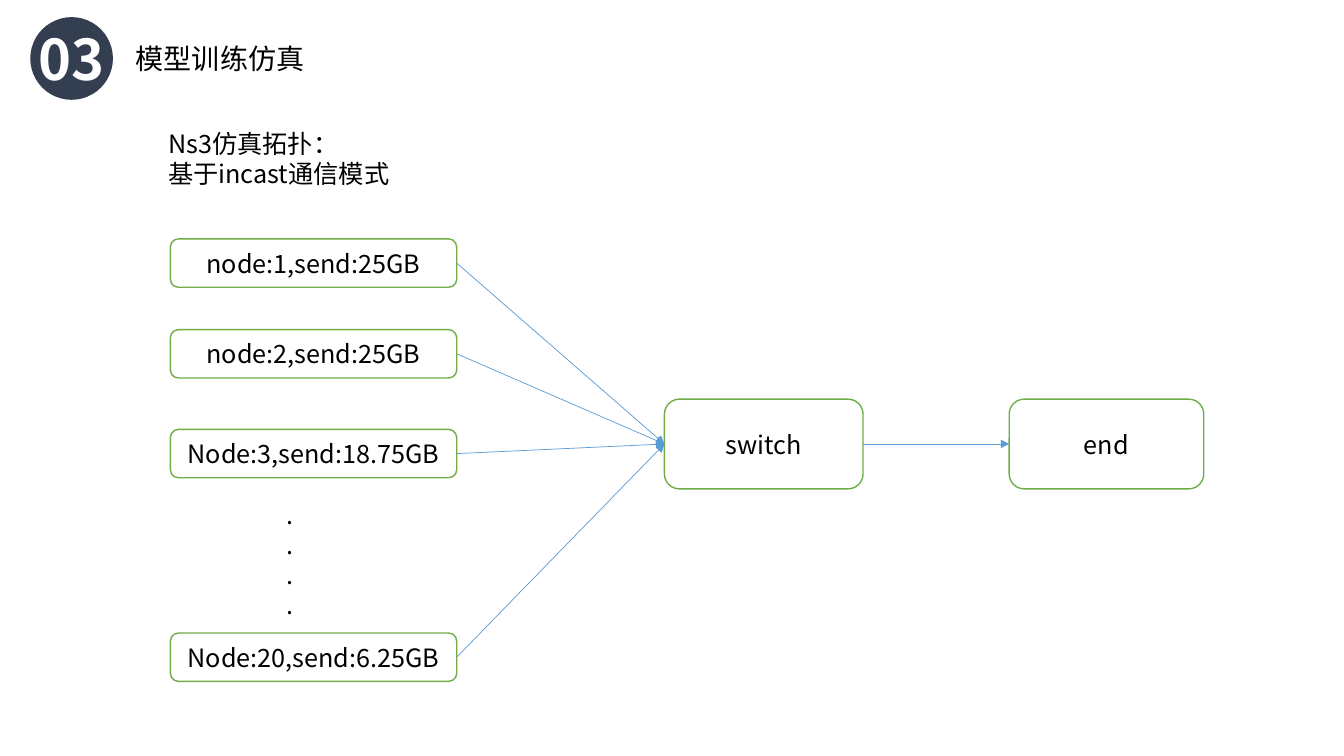
"""Build the slide on the incast simulation topology."""
from typing import NamedTuple

from lxml.etree import SubElement
from pptx import Presentation
from pptx.dml.color import RGBColor
from pptx.enum.shapes import MSO_CONNECTOR, MSO_SHAPE
from pptx.enum.text import MSO_ANCHOR, PP_ALIGN
from pptx.oxml.ns import qn
from pptx.shapes.autoshape import Shape
from pptx.slide import Slide
from pptx.text.text import TextFrame
from pptx.util import Inches, Pt

FONT = "Noto Sans CJK SC"
COLORS = {
    "badge": "333F50",
    "box": "FFFFFF",
    "border": "70AD47",
    "arrow": "5B9BD5",
    "text": "000000",
    "number": "FFFFFF",
}
RIGHT, LEFT = 3, 1


class Box(NamedTuple):
    text: str
    left: float
    top: float
    width: float = 2.84
    height: float = 0.48


class Label(NamedTuple):
    text: str
    left: float
    top: float
    width: float
    height: float
    style: dict


SENDERS = [
    Box("node:1,send:25GB", 1.69, 2.37),
    Box("node:2,send:25GB", 1.69, 3.27),
    Box("Node:3,send:18.75GB", 1.69, 4.26),
    Box("Node:20,send:6.25GB", 1.69, 6.28),
]
SWITCH = Box("switch", 6.59, 3.96, 1.97, 0.89)
END = Box("end", 10.01, 3.96, 1.93, 0.89)
LABELS = [
    Label("03", 0.26, 0.19, 0.89, 0.77,
          dict(size=40, bold=True, color="number", align=PP_ALIGN.CENTER, wrap=False)),
    Label("模型训练仿真", 1.25, 0.36, 2.47, 0.44, dict(size=20, align=PP_ALIGN.JUSTIFY)),
    Label("Ns3仿真拓扑：\n基于incast通信模式", 1.57, 1.22, 5.19, 1.01, dict(spacing=21.6)),
    Label(".\n.\n.\n.", 2.49, 4.9, 0.77, 1.31, dict(align=PP_ALIGN.CENTER, spacing=21.6)),
]


def rgb(name: str) -> RGBColor:
    return RGBColor.from_string(COLORS[name])


def write(tf: TextFrame, text: str, *, size: float = 18, color: str = "text",
          bold: bool = False, align: PP_ALIGN = PP_ALIGN.LEFT, wrap: bool = True,
          anchor: MSO_ANCHOR = MSO_ANCHOR.TOP, spacing: float | None = None) -> None:
    tf.word_wrap = wrap
    tf.vertical_anchor = anchor
    for i, line in enumerate(text.split("\n")):
        p = tf.add_paragraph() if i else tf.paragraphs[0]
        p.alignment = align
        if spacing:
            p.line_spacing = Pt(spacing)
        r = p.add_run()
        r.text = line
        r.font.size = Pt(size)
        r.font.bold = bold
        r.font.name = FONT
        r.font.color.rgb = rgb(color)
        SubElement(r.font._element, qn("a:ea"), typeface=FONT)


def add_badge(s: Slide) -> None:
    sp = s.shapes.add_shape(MSO_SHAPE.OVAL, Inches(0.3), Inches(0.17), Inches(0.82), Inches(0.82))
    sp.shadow.inherit = False
    sp.fill.solid()
    sp.fill.fore_color.rgb = rgb("badge")
    sp.line.fill.background()


def add_label(s: Slide, label: Label) -> None:
    tb = s.shapes.add_textbox(*map(Inches, label[1:5]))
    write(tb.text_frame, label.text, **label.style)


def add_box(s: Slide, box: Box) -> Shape:
    sp = s.shapes.add_shape(MSO_SHAPE.ROUNDED_RECTANGLE, *map(Inches, box[1:]))
    sp.shadow.inherit = False
    sp.fill.solid()
    sp.fill.fore_color.rgb = rgb("box")
    sp.line.color.rgb = rgb("border")
    sp.line.width = Pt(1)
    write(sp.text_frame, box.text, align=PP_ALIGN.CENTER, anchor=MSO_ANCHOR.MIDDLE)
    return sp


def add_arrow(s: Slide, source: Shape, target: Shape) -> None:
    cx = s.shapes.add_connector(MSO_CONNECTOR.STRAIGHT, 0, 0, 0, 0)
    cx.begin_connect(source, RIGHT)
    cx.end_connect(target, LEFT)
    cx.line.color.rgb = rgb("arrow")
    cx.line.width = Pt(0.5)
    SubElement(cx.line._get_or_add_ln(), qn("a:tailEnd"), type="triangle")
    SubElement(cx._element.spPr, qn("a:effectLst"))


def main() -> None:
    prs = Presentation()
    prs.slide_width, prs.slide_height = Inches(13.33), Inches(7.5)
    s = prs.slides.add_slide(prs.slide_layouts[6])
    add_badge(s)
    for label in LABELS:
        add_label(s, label)
    senders = [add_box(s, box) for box in SENDERS]
    end = add_box(s, END)
    switch = add_box(s, SWITCH)
    for sender in senders:
        add_arrow(s, sender, switch)
    add_arrow(s, switch, end)
    prs.save("out.pptx")


if __name__ == "__main__":
    main()
